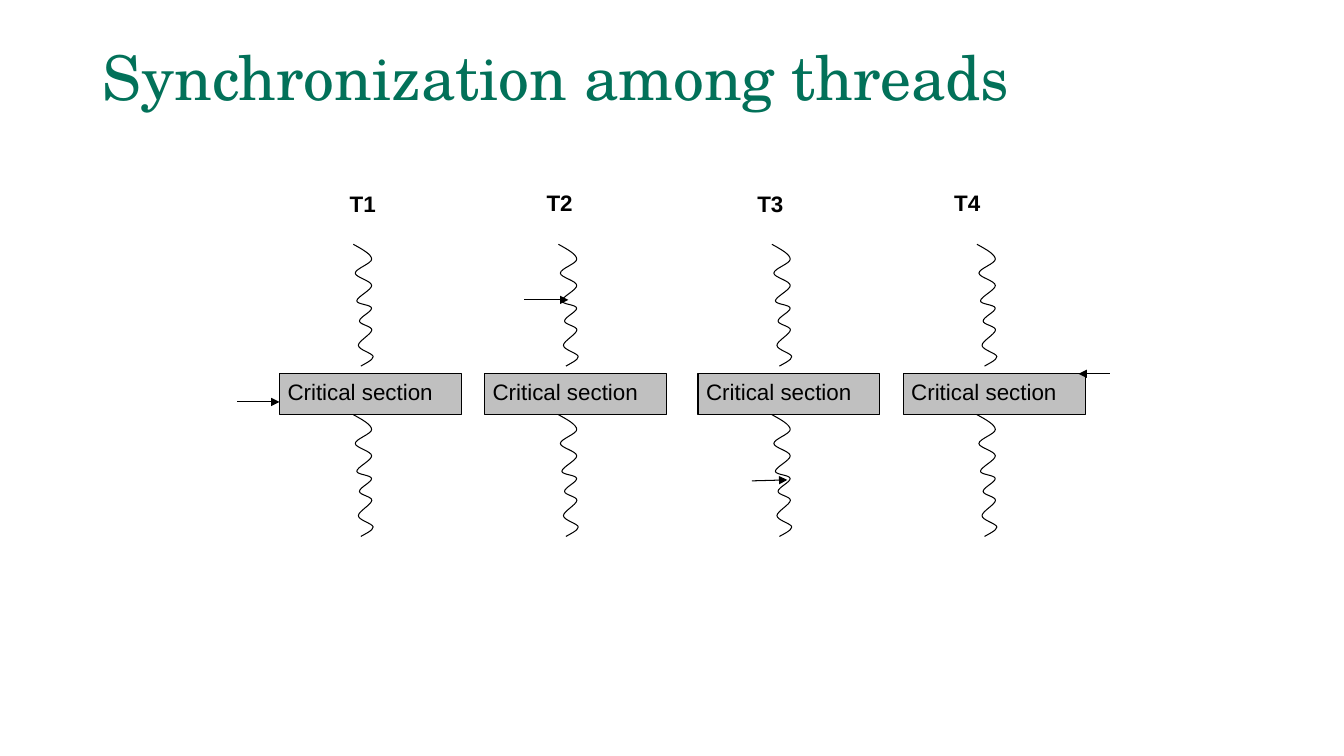
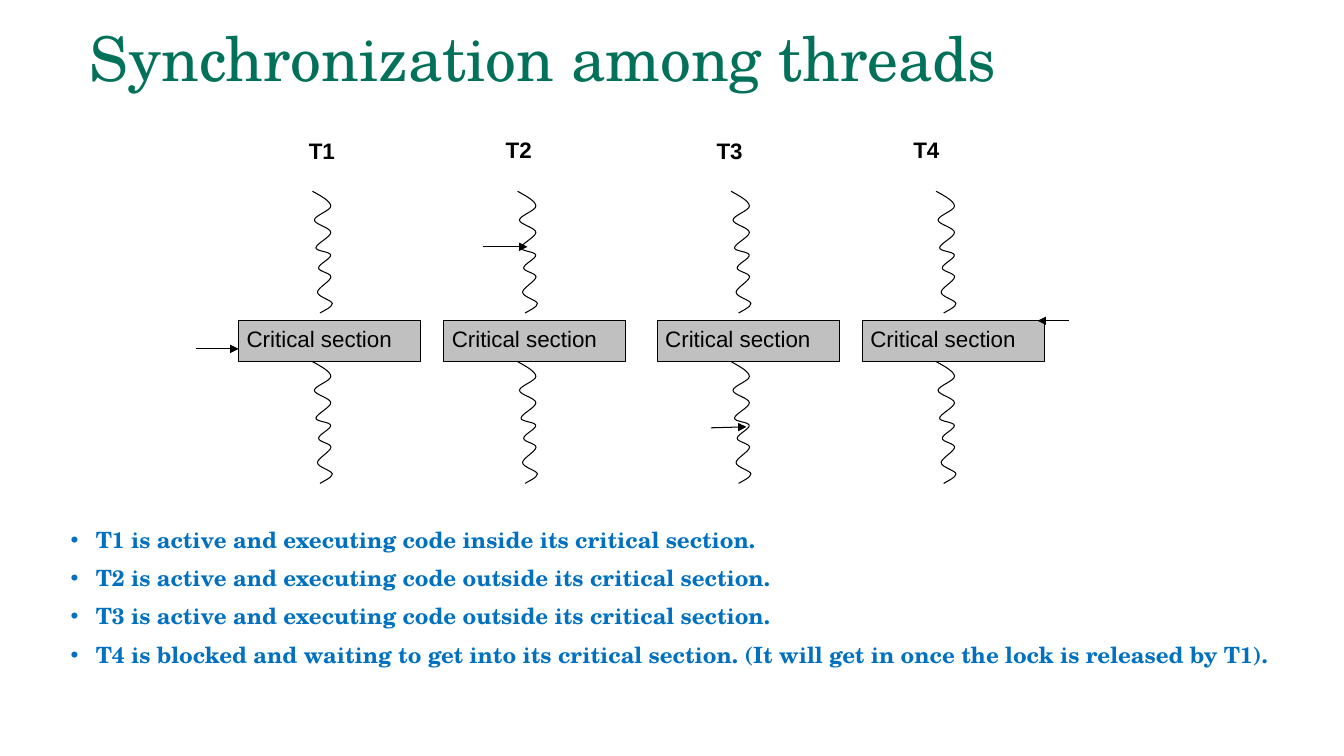
"""Builds two slides on synchronization among threads."""
import lxml.etree
import pptx
import pptx.dml.color
import pptx.enum.shapes
import pptx.enum.text
import pptx.oxml.ns
import pptx.util

Pt = pptx.util.Pt
RGB = pptx.dml.color.RGBColor
GREEN = RGB(0x02, 0x71, 0x59)
BLUE = RGB(0x00, 0x70, 0xC0)
GRAY = RGB(0xC0, 0xC0, 0xC0)
BLACK = RGB(0, 0, 0)
SERIF, SANS = "TeX Gyre Schola", "Arial"

TITLE = "Synchronization among threads"
POINTS = [
    "T1 is active and executing code inside its critical section.",
    "T2 is active and executing code outside its critical section.",
    "T3 is active and executing code outside its critical section.",
    "T4 is blocked and waiting to get into its critical section. "
    "(It will get in once the lock is released by T1).",
]
SLIDES = [
    {"layout": 5, "title": (66.2, 28.8), "shift": (0, 0), "points": []},
    {"layout": 1, "title": (56.9, 15.1), "shift": (-29.2, -37.9), "points": POINTS},
]
THREADS = [
    ("T1", 199.6, (244, 133.1)),
    ("T2", 346.1, (384.6, 132)),
    ("T3", 498.6, (535.2, 133.1)),
    ("T4", 645.1, (675.8, 132)),
]
ARROWS = [
    ((169.4, 287.1), (199.6, 287.1)),
    ((374.4, 214.2), (406, 214.2)),
    ((537.1, 343.5), (562.4, 342.8)),
    ((792.8, 267), (770.4, 267)),
]
WAVE = [
    (6.5, 3.6), (13, 7.2), (13.1, 10.6),
    (13.2, 13.8), (1.4, 17.4), (1.4, 20.6),
    (1.4, 23.6), (13, 26), (13.1, 29.4),
    (13.2, 32.6), (2.5, 37.6), (2.5, 40.4),
    (2.5, 43), (12.7, 43), (13, 45.6),
    (13.3, 48.2), (4.4, 52), (4.4, 54.8),
    (4.4, 57.4), (13.3, 58.4), (13.2, 61.2),
    (13, 64.2), (3.5, 69.2), (3.6, 72.2),
    (3.7, 75.4), (13.9, 77.8), (14.2, 80.2),
    (14.5, 82.6), (6.9, 86), (5.4, 87),
]
BOX_TOP, BOX_WIDE, BOX_HIGH = 267, 130, 29.2
WAVE_LEFT, WAVE_TOPS = 52.8, (174.5, BOX_TOP + BOX_HIGH)


def child(node, tag, **attrs):
    """Append a drawing element with the given attributes."""
    return lxml.etree.SubElement(node, pptx.oxml.ns.qn("a:" + tag), attrs)


def style(para, font, size, color, bold=False):
    """Format all runs of a paragraph."""
    para.alignment = pptx.enum.text.PP_ALIGN.LEFT
    for run in para.runs:
        run.font.name, run.font.size, run.font.bold = font, Pt(size), bold
        run.font.color.rgb = color


def place(shape, left, top, wide, high):
    """Set the position and size of a shape."""
    shape.left, shape.top = Pt(left), Pt(top)
    shape.width, shape.height = Pt(wide), Pt(high)


def label(shape, text, bold=False):
    """Write a sans label at the top left of a shape."""
    frame = shape.text_frame
    frame.text, frame.word_wrap = text, True
    frame.vertical_anchor = pptx.enum.text.MSO_ANCHOR.TOP
    frame.margin_left = frame.margin_right = Pt(5.8)
    frame.margin_top = frame.margin_bottom = Pt(2.9)
    style(frame.paragraphs[0], SANS, 16, BLACK, bold)


def outline(shape):
    """Give a shape or connector the thin black line."""
    shape.line.color.rgb, shape.line.width = BLACK, Pt(0.75)


def wave(shapes, left, top):
    """Draw a thread as one curved open outline."""
    pen = shapes.build_freeform(0, 0)
    pen.add_line_segments([(Pt(x), Pt(y)) for x, y in WAVE], close=False)
    shape = pen.convert_to_shape(Pt(left), Pt(top))
    shape.fill.background()
    shape.shadow.inherit = False
    outline(shape)
    lines = list(shape.element.iter(pptx.oxml.ns.qn("a:lnTo")))
    for start in range(0, len(lines), 3):
        curve = child(lines[start].getparent(), "cubicBezTo")
        for line in lines[start:start + 3]:
            curve.append(line[0])
            line.getparent().remove(line)


def arrow(shapes, tail, head):
    """Draw a line with a triangle at its end."""
    kind = pptx.enum.shapes.MSO_CONNECTOR.STRAIGHT
    line = shapes.add_connector(kind, *(Pt(v) for v in tail + head))
    outline(line)
    child(line.line._get_or_add_ln(), "tailEnd", type="triangle")
    child(line.element.spPr, "effectLst")


def diagram(slide, shift):
    """Draw all threads as a group and shift it."""
    group = slide.shapes.add_group_shape()
    shapes = group.shapes
    for name, left, spot in THREADS:
        for top in WAVE_TOPS:
            wave(shapes, left + WAVE_LEFT, top)
        box = shapes.add_shape(
            pptx.enum.shapes.MSO_SHAPE.RECTANGLE,
            Pt(left), Pt(BOX_TOP), Pt(BOX_WIDE), Pt(BOX_HIGH))
        box.fill.solid()
        box.fill.fore_color.rgb = GRAY
        box.shadow.inherit = False
        outline(box)
        label(box, "Critical section")
        text = shapes.add_textbox(Pt(spot[0]), Pt(spot[1]), Pt(41), Pt(28))
        label(text, name, True)
    for tail, head in ARROWS:
        arrow(shapes, tail, head)
    group.left += Pt(shift[0])
    group.top += Pt(shift[1])


def heading(slide, left, top):
    """Fill and format the title."""
    title = slide.shapes.title
    place(title, left, top, 828, 57.6)
    frame = title.text_frame
    frame.text = TITLE
    frame.auto_size = pptx.enum.text.MSO_AUTO_SIZE.NONE
    frame.vertical_anchor = pptx.enum.text.MSO_ANCHOR.MIDDLE
    para = frame.paragraphs[0]
    para.line_spacing = 0.9
    style(para, SERIF, 44, GREEN)


def bullets(body, points):
    """Fill and format the list."""
    place(body, 43.2, 374.4, 896.4, 110.9)
    frame = body.text_frame
    frame.auto_size = pptx.enum.text.MSO_AUTO_SIZE.NONE
    for index, point in enumerate(points):
        para = frame.add_paragraph() if index else frame.paragraphs[0]
        para.text = point
        para.line_spacing, para.space_before = 0.9, Pt(10)
        style(para, SERIF, 16, BLUE, True)
        props = para._p.get_or_add_pPr()
        props.set("marL", str(Pt(18)))
        props.set("indent", str(Pt(-18)))
        child(child(props, "buClr"), "srgbClr", val=str(BLUE))
        child(props, "buFont", typeface=SANS)
        child(props, "buChar", char="•")


def main():
    """Build and save the slides."""
    deck = pptx.Presentation()
    deck.slide_width, deck.slide_height = Pt(960), Pt(540)
    for page in SLIDES:
        slide = deck.slides.add_slide(deck.slide_layouts[page["layout"]])
        heading(slide, *page["title"])
        if page["points"]:
            bullets(slide.placeholders[1], page["points"])
        diagram(slide, page["shift"])
    deck.save("out.pptx")


if __name__ == "__main__":
    main()
